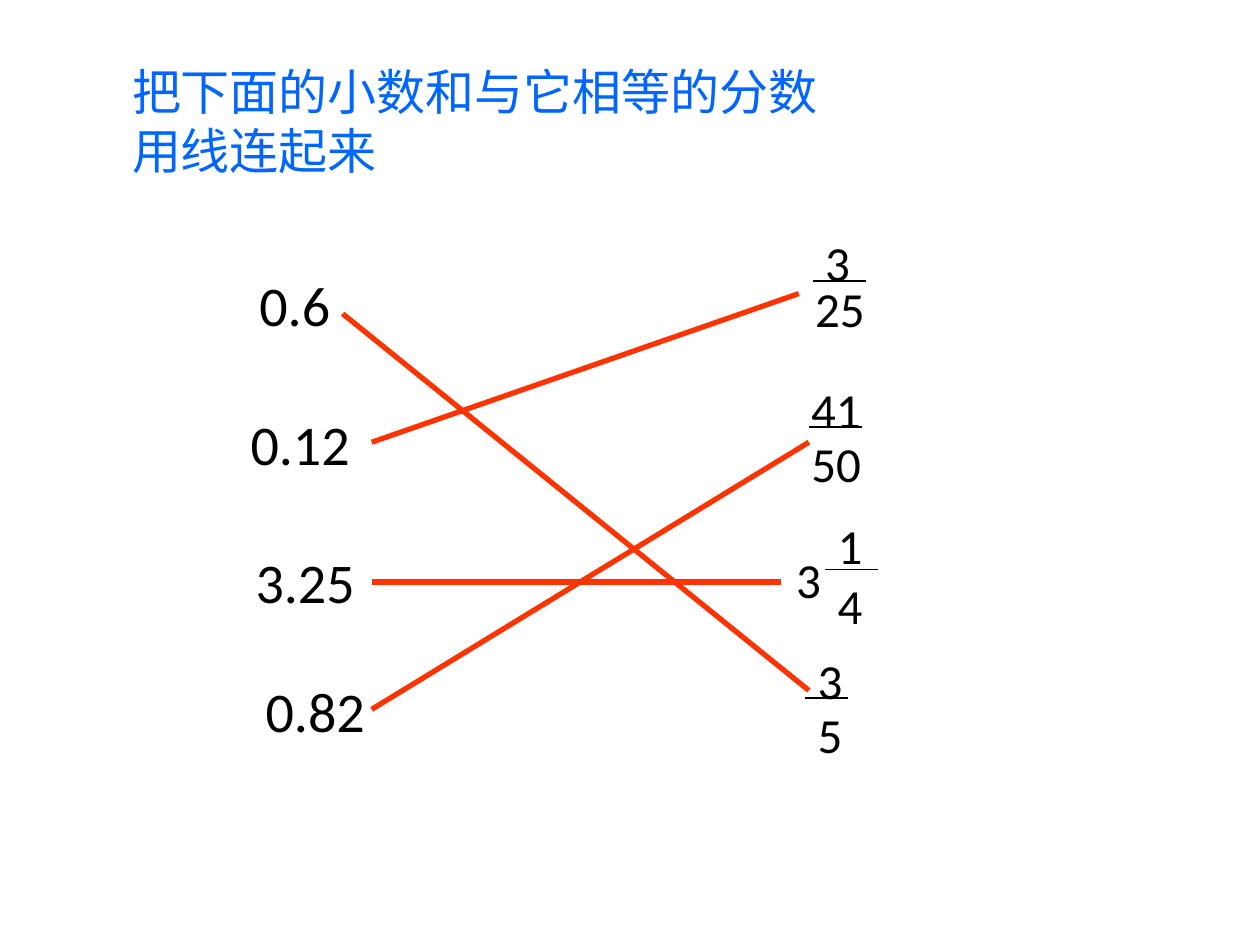
from lxml import etree
from pptx import Presentation
from pptx import util as u
from pptx.dml.color import RGBColor
from pptx.enum import shapes, text
from pptx.oxml.ns import qn

BLUE = RGBColor(0x00, 0x66, 0xFF)
BLACK = RGBColor(0x00, 0x00, 0x00)
RED = RGBColor(0xFF, 0x33, 0x00)


class MatchingSlide:
    latin_font = "Calibri"
    chinese_font = "Noto Sans CJK SC"
    decimal_size = 32
    fraction_size = 28

    def __init__(self, presentation):
        self.slide = presentation.slides.add_slide(presentation.slide_layouts[6])

    def text_box(self, container, box, lines, size, color=BLACK,
                 font=latin_font, indent=0):
        shape = container.add_textbox(*map(u.Inches, box))
        frame = shape.text_frame
        frame.text = "\n".join(lines)
        frame.word_wrap = True
        frame.auto_size = text.MSO_AUTO_SIZE.SHAPE_TO_FIT_TEXT
        for paragraph in frame.paragraphs:
            if indent:
                properties = paragraph._p.get_or_add_pPr()
                properties.set("marL", str(u.Inches(indent)))
                properties.set("indent", "0")
            for run in paragraph.runs:
                run.font.size = u.Pt(size)
                run.font.name = font
                run.font.color.rgb = color
                east_asian = etree.Element(qn("a:ea"), typeface=self.chinese_font)
                run._r.rPr.find(qn("a:latin")).addnext(east_asian)

    def line(self, container, start, end, color, width):
        connector = container.add_connector(
            shapes.MSO_CONNECTOR.STRAIGHT, *map(u.Inches, (*start, *end)))
        connector.line.color.rgb = color
        connector.line.width = u.Pt(width)
        etree.SubElement(connector._element.spPr, qn("a:effectLst"))

    def title(self, box, lines):
        self.text_box(self.slide.shapes, box, lines, 28, BLUE,
                      self.chinese_font, indent=0.44)

    def decimal(self, left, top, width, value):
        self.text_box(self.slide.shapes, (left, top, width, 0.64), [value],
                      self.decimal_size)

    def fraction(self, bar, numbers):
        """Group the numbers (left, top, width, digits) with their fraction bar."""
        group = self.slide.shapes.add_group_shape().shapes
        for left, top, width, digits in numbers:
            self.text_box(group, (left, top, width, 0.57), [digits],
                          self.fraction_size)
        left, right, y = bar
        self.line(group, (left, y), (right, y), BLACK, 0.75)

    def match(self, start, end):
        self.line(self.slide.shapes, start, end, RED, 3)


def main():
    presentation = Presentation()
    presentation.slide_width = u.Inches(10)
    presentation.slide_height = u.Inches(7.5)
    page = MatchingSlide(presentation)

    # Instruction
    page.title((0.51, 0.44, 8.83, 1.04),
               ["把下面的小数和与它相等的分数", "用线连起来"])

    # Fractions on the right
    page.fraction((6.45, 6.87, 2.23),
                  [(6.45, 1.8, 0.52, "3"), (6.37, 2.16, 0.92, "25")])
    page.fraction((6.42, 6.84, 3.39),
                  [(6.34, 2.96, 0.83, "41"), (6.34, 3.39, 0.75, "50")])
    page.fraction((6.55, 6.97, 4.52),
                  [(6.22, 4.31, 0.42, "3"), (6.55, 4.04, 0.39, "1"),
                   (6.55, 4.52, 0.33, "4")])
    page.fraction((6.39, 6.73, 5.54),
                  [(6.39, 5.11, 0.42, "3"), (6.39, 5.54, 0.33, "5")])

    # Lines joining equal values
    page.match((2.72, 2.49), (6.42, 5.48))
    page.match((2.95, 3.51), (6.34, 2.33))
    page.match((2.95, 4.62), (6.2, 4.62))
    page.match((2.95, 5.63), (6.42, 3.51))

    # Decimals on the left
    page.decimal(1.96, 2.1, 0.82, "0.6")
    page.decimal(1.89, 3.2, 1.04, "0.12")
    page.decimal(1.93, 4.3, 1.04, "3.25")
    page.decimal(2.01, 5.32, 1.1, "0.82")

    presentation.save("out.pptx")


if __name__ == "__main__":
    main()
